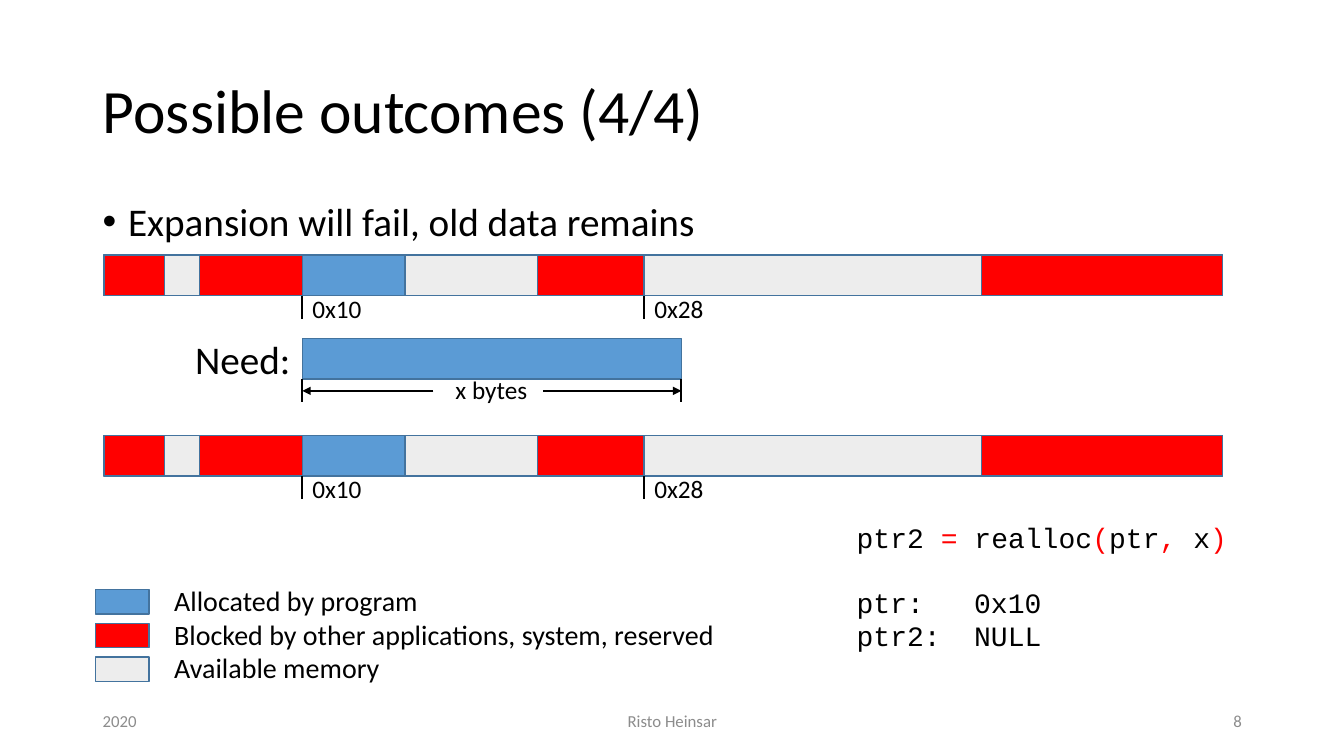
import pptx
import pptx.dml.color
import pptx.enum.shapes
import pptx.enum.text
import pptx.oxml.ns
import pptx.util
from lxml import etree

Cm = pptx.util.Cm
Pt = pptx.util.Pt
ALIGN = pptx.enum.text.PP_ALIGN
ANCHOR = pptx.enum.text.MSO_ANCHOR

COLOURS = {
    "text": "000000",
    "footer": "8C8C8C",
    "outline": "43739E",
    "allocated": "5B9BD5",
    "blocked": "FF0000",
    "available": "EDEDED",
}
TITLE = "Possible outcomes (4/4)"
OUTCOME = "Expansion will fail, old data remains"
FOOTERS = [
    ("2020", 2.34, 7.62, ALIGN.LEFT),
    ("Risto Heinsar", 11.23, 11.43, ALIGN.CENTER),
    ("8", 23.93, 7.62, ALIGN.RIGHT),
]
LEGEND = [
    ("allocated", "Allocated by program"),
    ("blocked", "Blocked by other applications, system, reserved"),
    ("available", "Available memory"),
]
MEMORY_LEFT, MEMORY_RIGHT = 2.62, 30.81
SEGMENTS = [
    ("available", MEMORY_LEFT, MEMORY_RIGHT),
    ("blocked", MEMORY_LEFT, 4.14),
    ("blocked", 5.03, 7.62),
    ("allocated", 7.62, 10.21),
    ("blocked", 13.54, 16.23),
    ("blocked", 24.74, MEMORY_RIGHT),
]
MEMORY_TOPS = [6.43, 10.98]
ADDRESSES = [("0x10", 7.62), ("0x28", 16.24)]
NEED_LEFT, NEED_RIGHT, NEED_TOP = 7.62, 17.17, 8.53
BAR_HEIGHT, TICK_HEIGHT = 1.02, 0.58
CALL = [
    ("ptr2 ", "text"), ("= ", "blocked"), ("realloc", "text"), ("(", "blocked"),
    ("ptr", "text"), (", ", "blocked"), ("x", "text"), (")", "blocked"),
]
POINTERS = ["ptr:\t0x10", "ptr2:\tNULL"]

presentation = pptx.Presentation()
presentation.slide_width, presentation.slide_height = Cm(33.87), Cm(19.05)
slide = presentation.slides.add_slide(presentation.slide_layouts[5])


def colour(name):
    return pptx.dml.color.RGBColor.from_string(COLOURS[name])


def add_xml(parent, tag, **attributes):
    return etree.SubElement(parent, pptx.oxml.ns.qn(tag), attributes)


def add_text(paragraphs, left, top, width, height, size=18, font="Calibri", ink="text",
             align=ALIGN.LEFT, anchor=ANCHOR.TOP, wrap=True, spacing=None, shape=None):
    shape = shape or slide.shapes.add_textbox(0, 0, 0, 0)
    shape.left, shape.top, shape.width, shape.height = map(Cm, (left, top, width, height))
    frame = shape.text_frame
    frame.word_wrap = wrap
    frame.auto_size = pptx.enum.text.MSO_AUTO_SIZE.NONE
    frame.vertical_anchor = anchor
    for index, content in enumerate(paragraphs):
        paragraph = frame.add_paragraph() if index else frame.paragraphs[0]
        paragraph.alignment = align
        paragraph.line_spacing = spacing
        for text, run_ink in [(content, ink)] if isinstance(content, str) else content:
            run = paragraph.add_run()
            run.text = text
            run.font.size, run.font.name = Pt(size), font
            run.font.color.rgb = colour(run_ink)
    return frame.paragraphs


def add_block(kind, left, top, width, height):
    shape = slide.shapes.add_shape(pptx.enum.shapes.MSO_SHAPE.RECTANGLE,
                                   *map(Cm, (left, top, width, height)))
    shape.shadow.inherit = False
    shape.fill.solid()
    shape.fill.fore_color.rgb = colour(kind)
    shape.line.color.rgb = colour("outline")
    shape.line.width = Pt(1)


def add_line(x1, y1, x2, y2, width=1.5, arrow=False):
    line = slide.shapes.add_connector(pptx.enum.shapes.MSO_CONNECTOR.STRAIGHT,
                                      *map(Cm, (x1, y1, x2, y2)))
    line.line.color.rgb = colour("text")
    line.line.width = Pt(width)
    if arrow:
        add_xml(line.line._get_or_add_ln(), "a:tailEnd", type="triangle")
    add_xml(line._element.spPr, "a:effectLst")


def add_tick(x, bar_top):
    bottom = bar_top + BAR_HEIGHT
    add_line(x, bottom, x, bottom + TICK_HEIGHT)


add_text([TITLE], 2.34, 1.02, 29.21, 3.68, size=44, anchor=ANCHOR.MIDDLE,
         spacing=0.9, shape=slide.shapes.title)
outcome = add_text([OUTCOME], 2.34, 5.08, 29.21, 1.24, size=28, spacing=0.8)[0]
outcome.space_before = Pt(10)
properties = outcome._p.get_or_add_pPr()
properties.set("marL", str(Cm(0.64)))
properties.set("indent", str(Cm(-0.64)))
add_xml(properties, "a:buFont", typeface="Arial")
add_xml(properties, "a:buChar", char="•")

for text, left, width, align in FOOTERS:
    add_text([text], left, 17.65, width, 1.02, size=12, ink="footer",
             align=align, anchor=ANCHOR.MIDDLE)

for top in MEMORY_TOPS:
    for kind, left, right in SEGMENTS:
        add_block(kind, left, top, right - left, BAR_HEIGHT)
    for address, x in ADDRESSES:
        add_tick(x, top)
        add_text([address], x, top + 0.83, 1.75, 1.02, wrap=False)

add_block("allocated", NEED_LEFT, NEED_TOP, NEED_RIGHT - NEED_LEFT, BAR_HEIGHT)
add_text(["Need:"], 4.67, 8.33, 2.95, 1.45, size=28, wrap=False)
add_text(["x bytes"], 11.23, 9.32, 2.34, 1.02, wrap=False)
for inner, edge in [(10.92, NEED_LEFT), (13.69, NEED_RIGHT)]:
    add_tick(edge, NEED_TOP)
    add_line(inner, 9.85, edge, 9.85, width=1, arrow=True)

for row, (kind, label) in enumerate(LEGEND):
    add_block(kind, 2.41, 14.86 + 0.85 * row, 1.35, 0.61)
add_text([label for kind, label in LEGEND], 4.14, 14.58, 18.11, 2.82, size=20)

code = add_text([CALL, *POINTERS], 21.34, 12.98, 10.11, 3.68, size=20, font="Courier New")
code[1].space_before = Pt(22.6)
for paragraph in code[1:]:
    tabs = add_xml(paragraph._p.get_or_add_pPr(), "a:tabLst")
    add_xml(tabs, "a:tab", pos=str(Cm(2.96)), algn="l")

presentation.save("out.pptx")
